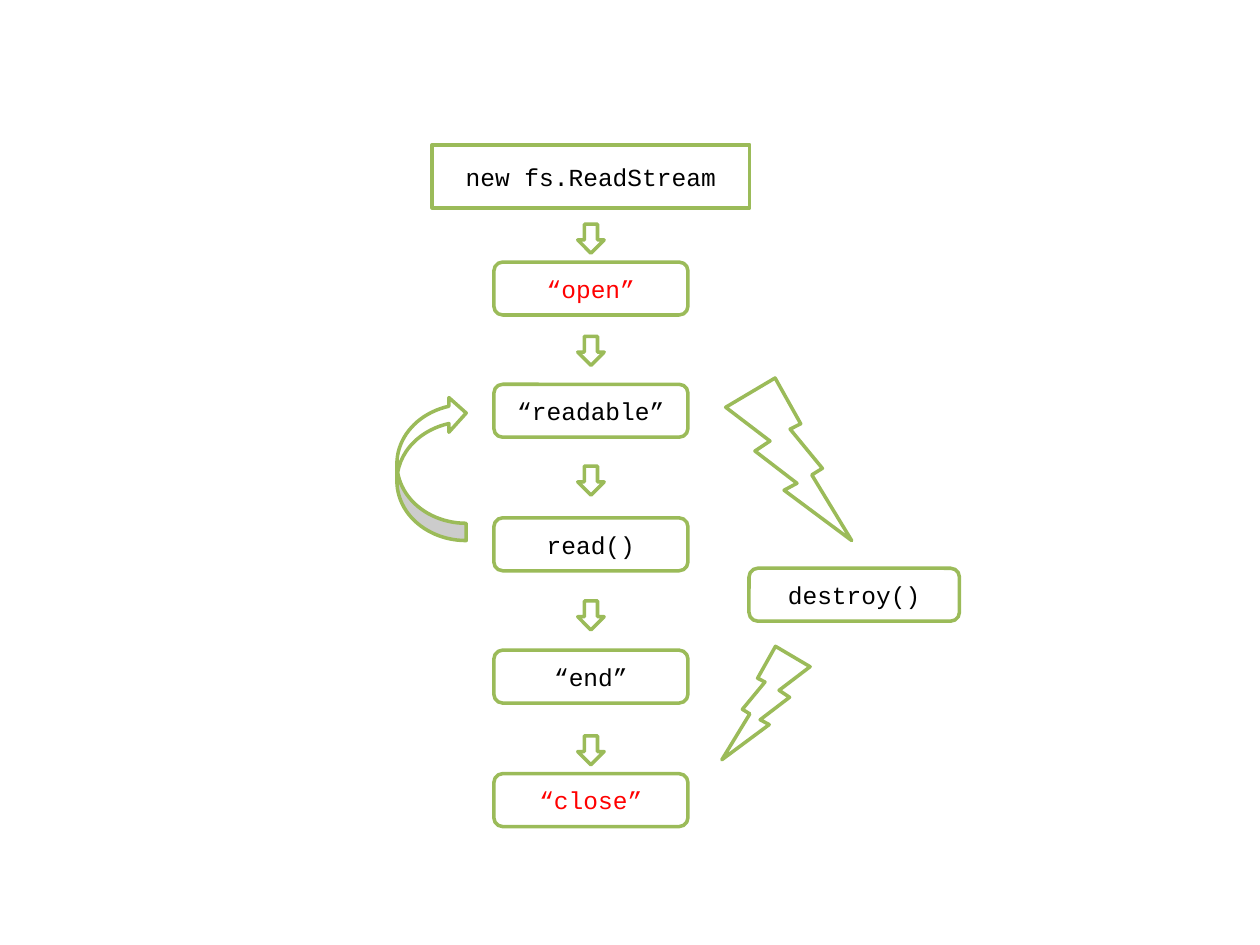
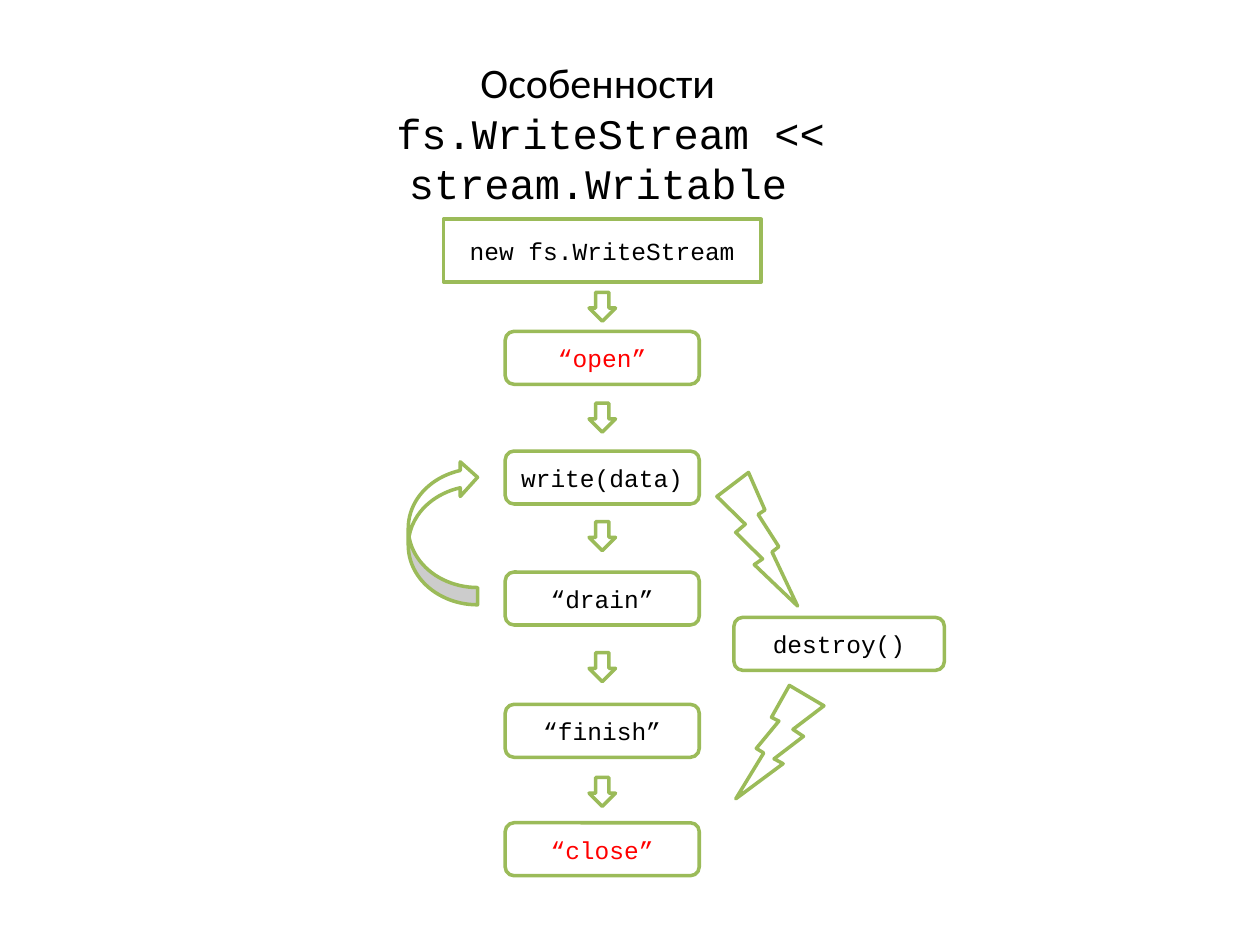
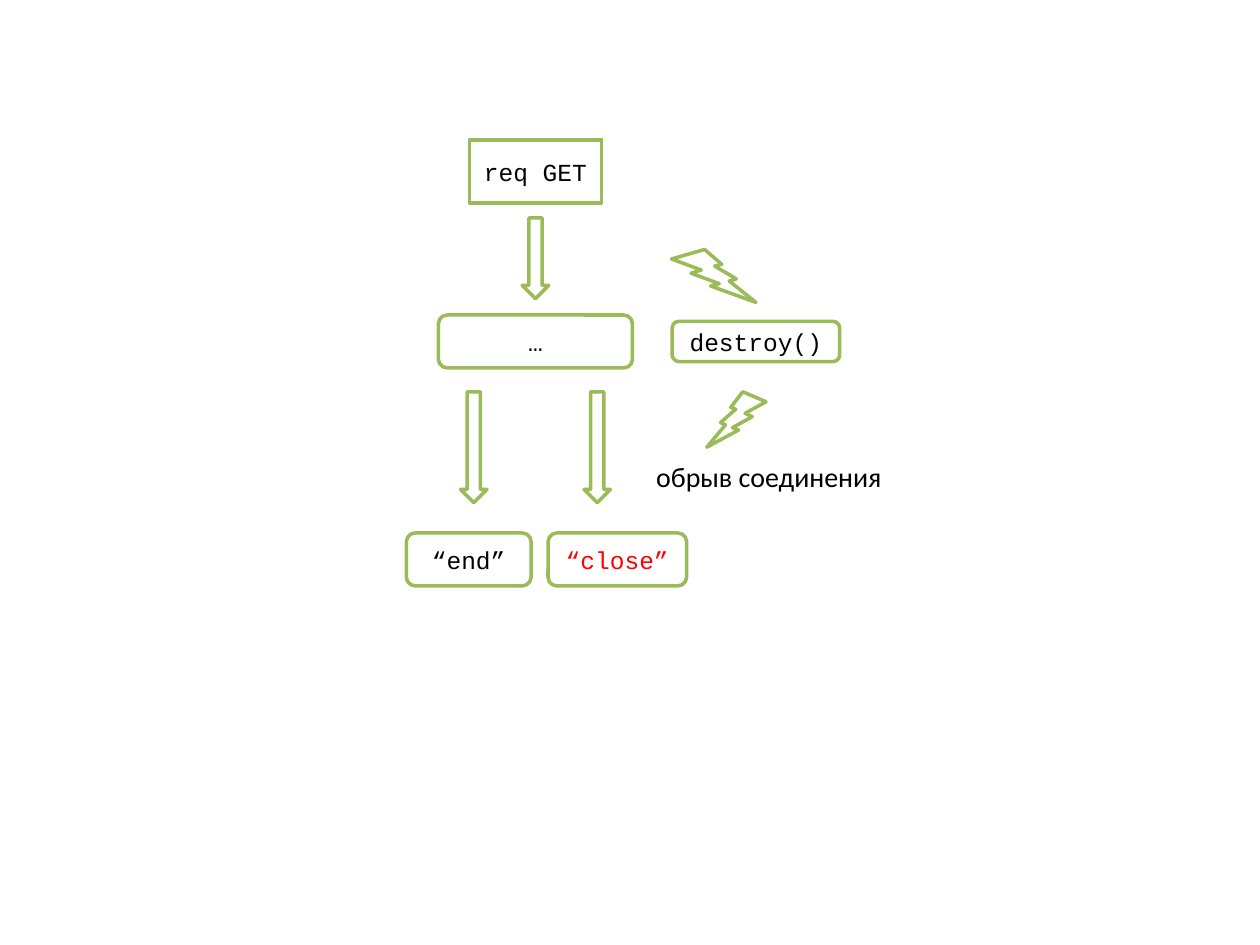
"""Draw the life cycles of the read, write and request streams."""
from pptx import Presentation
from pptx import util as u
from pptx.dml.color import RGBColor
from pptx.enum import shapes, text

GREEN = RGBColor(0x9B, 0xBB, 0x59)
WHITE = RGBColor(0xFF, 0xFF, 0xFF)
BLACK = RGBColor(0, 0, 0)
RED = RGBColor(0xFF, 0, 0)
CODE, PROSE = "Courier New", "Calibri"
KIND = shapes.MSO_SHAPE
CENTER = text.PP_ALIGN.CENTER
STEP_W, STEP_H = 1.54, 0.42
START_W, START_H = 2.52, 0.5
ARROW_W, ARROW_H = 0.21, 0.23


def write(para, words, size, font, color=BLACK):
    """Add one run of text to a paragraph."""
    run = para.add_run()
    run.text = words
    run.font.size = u.Pt(size)
    run.font.name = font
    run.font.color.rgb = color


def draw(slide, kind, left, top, width, height):
    """Add a white preset shape with a green outline."""
    shape = slide.shapes.add_shape(kind, *map(u.Inches, (left, top, width, height)))
    shape.shadow.inherit = False
    shape.fill.solid()
    shape.fill.fore_color.rgb = WHITE
    shape.line.color.rgb = GREEN
    shape.line.width = u.Pt(2)
    return shape


def box(slide, kind, mid, top, width, height, words, color=BLACK):
    """Add a labelled box centred on mid."""
    shape = draw(slide, kind, mid - width / 2, top, width, height)
    frame = shape.text_frame
    frame.word_wrap = True
    frame.vertical_anchor = text.MSO_ANCHOR.MIDDLE
    frame.paragraphs[0].alignment = CENTER
    write(frame.paragraphs[0], words, 14, CODE, color)


def start(slide, mid, top, words, width=START_W):
    """Add the square box that opens a flow."""
    box(slide, KIND.FLOWCHART_PROCESS, mid, top, width, START_H, words)


def step(slide, mid, top, words, width=STEP_W, height=STEP_H):
    """Add a rounded step, in red for the open and close events."""
    color = RED if words in ("“open”", "“close”") else BLACK
    box(slide, KIND.FLOWCHART_ALTERNATE_PROCESS, mid, top, width, height, words, color)


def arrow(slide, mid, top, height=ARROW_H):
    """Add a down arrow centred on mid."""
    draw(slide, KIND.DOWN_ARROW, mid - ARROW_W / 2, top, ARROW_W, height)


def bolt(slide, left, top, width, height, flip=False):
    """Add a lightning bolt, mirrored on request."""
    shape = draw(slide, KIND.LIGHTNING_BOLT, left, top, width, height)
    if flip:
        shape.element.spPr.xfrm.set("flipH", "1")


def chain(slide, mid, steps):
    """Add the column of arrows and steps below a start box."""
    for tip, top, words in steps:
        arrow(slide, mid, tip)
        step(slide, mid, top, words)


def loop(slide, mid, top):
    """Add the curved arrow that leads back up the column."""
    shape = draw(slide, KIND.CURVED_LEFT_ARROW, mid - STEP_W, top, 0.55, 1.15)
    shape.rotation = 180


def label(slide, left, top, width, height, lines, align=None):
    """Add a text box with one paragraph for each line."""
    area = slide.shapes.add_textbox(*map(u.Inches, (left, top, width, height)))
    frame = area.text_frame
    frame.word_wrap = True
    frame.auto_size = text.MSO_AUTO_SIZE.SHAPE_TO_FIT_TEXT
    for i, (words, size, font) in enumerate(lines):
        para = frame.add_paragraph() if i else frame.paragraphs[0]
        para.alignment = align
        write(para, words, size, font)


def reader(slide):
    """Draw the read stream."""
    mid = 4.69
    start(slide, mid, 1.15, "new fs.ReadStream")
    chain(slide, mid, [
        (1.78, 2.08, "“open”"),
        (2.67, 3.05, "“readable”"),
        (3.7, 4.11, "read()"),
        (4.77, 5.16, "“end”"),
        (5.84, 6.14, "“close”"),
    ])
    loop(slide, mid, 3.14)
    bolt(slide, 5.76, 3, 1, 1.29)
    step(slide, 6.78, 4.51, "destroy()", 1.67)
    bolt(slide, 5.73, 5.13, 0.7, 0.9, flip=True)


def writer(slide):
    """Draw the write stream."""
    mid = 4.78
    start(slide, mid, 1.74, "new fs.WriteStream")
    chain(slide, mid, [
        (2.32, 2.63, "“open”"),
        (3.2, 3.58, "write(data)"),
        (4.14, 4.54, "“drain”"),
        (5.18, 5.59, "“finish”"),
        (6.17, 6.53, "“close”"),
    ])
    loop(slide, mid, 3.65)
    bolt(slide, 5.69, 3.75, 0.64, 1.06)
    step(slide, 6.66, 4.9, "destroy()", 1.67)
    bolt(slide, 5.84, 5.44, 0.7, 0.9, flip=True)
    label(slide, 1.5, 0.4, 6.49, 0.91, [
        ("Особенности", 24, PROSE),
        (" fs.WriteStream << stream.Writable", 24, CODE),
    ], CENTER)


def request(slide):
    """Draw the request stream."""
    mid = 4.25
    start(slide, mid, 1.11, "req GET", 1.05)
    arrow(slide, mid, 1.73, 0.64)
    step(slide, mid, 2.5, "…")
    for side in (-0.49, 0.49):
        arrow(slide, mid + side, 3.11, 0.88)
    step(slide, 3.72, 4.23, "“end”", 0.99)
    step(slide, 4.9, 4.23, "“close”", 1.1)
    bolt(slide, 5.33, 1.98, 0.67, 0.42)
    step(slide, 6, 2.55, "destroy()", 1.33, 0.32)
    bolt(slide, 5.61, 3.11, 0.47, 0.44, flip=True)
    label(slide, 5.11, 3.6, 2.02, 0.37, [("обрыв соединения", 16, PROSE)])


def main():
    """Build and save the slides."""
    deck = Presentation()
    deck.slide_width, deck.slide_height = u.Inches(10), u.Inches(7.5)
    for fill in (reader, writer, request):
        fill(deck.slides.add_slide(deck.slide_layouts[6]))
    deck.save("out.pptx")


if __name__ == "__main__":
    main()
